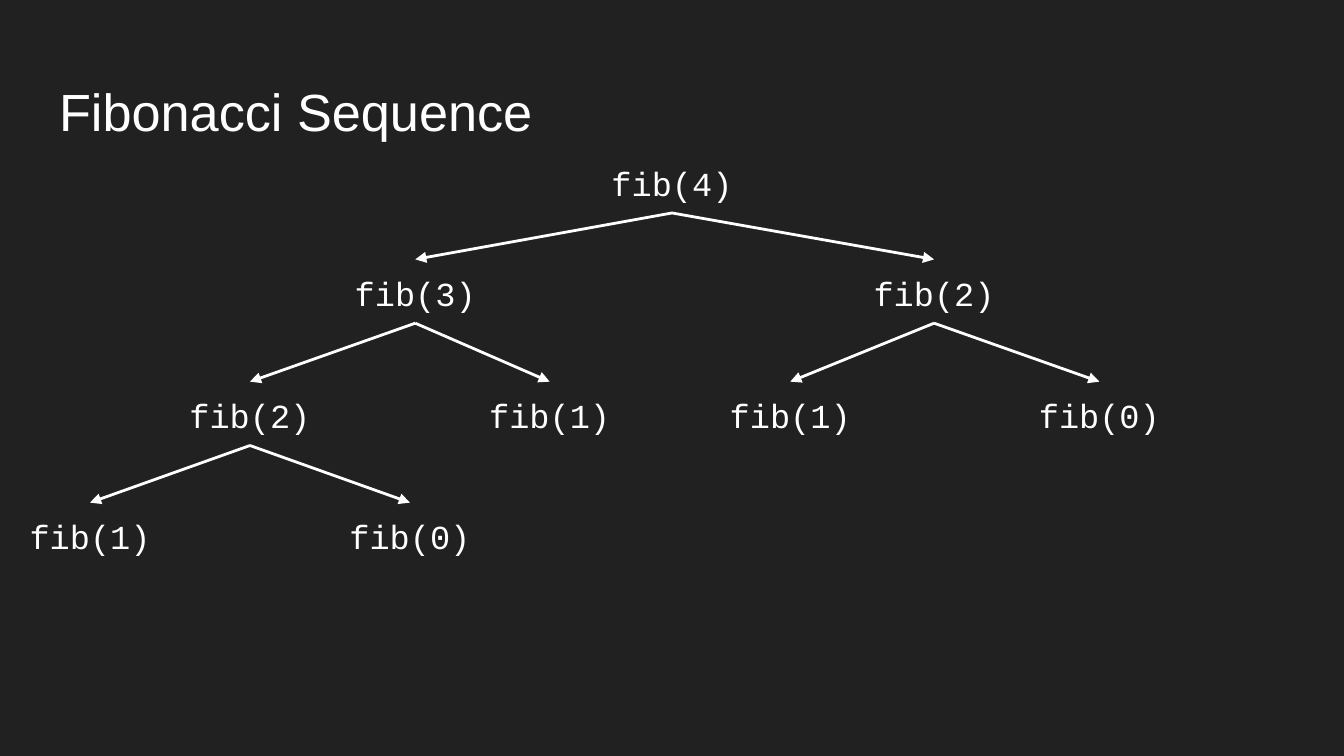
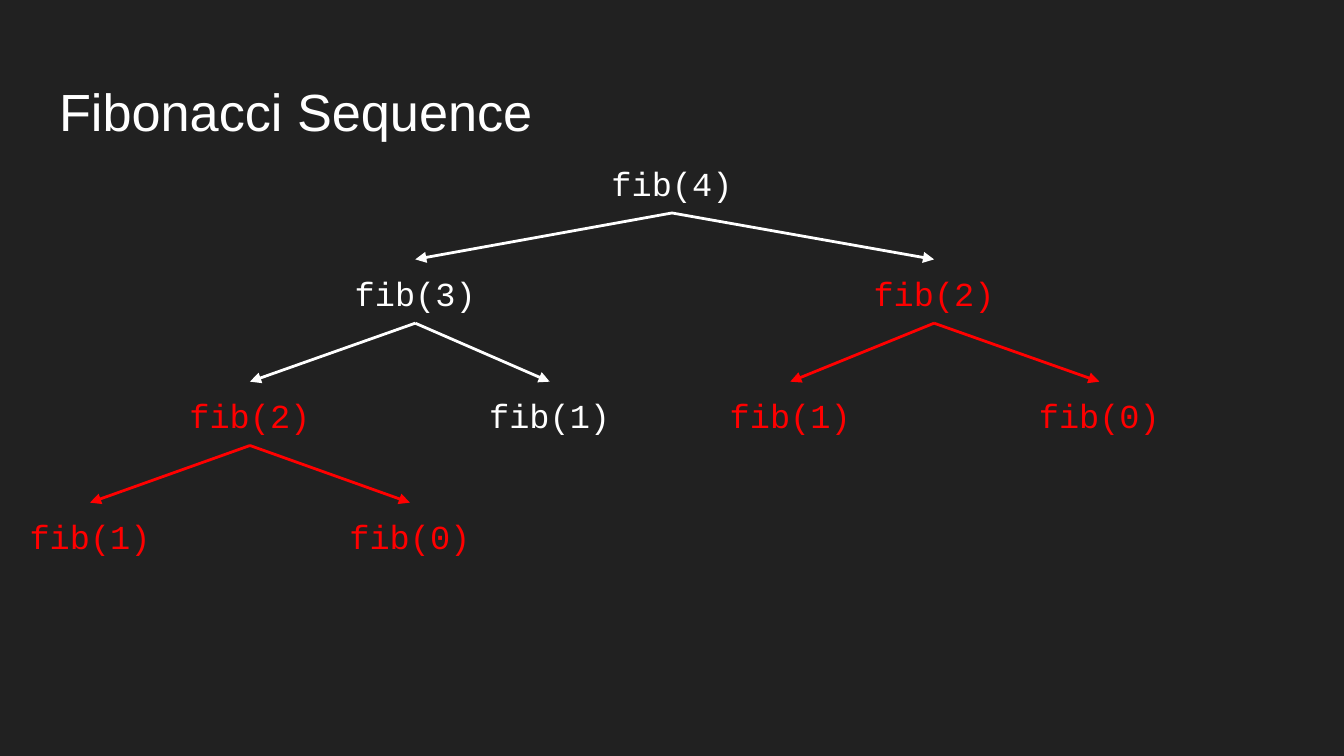
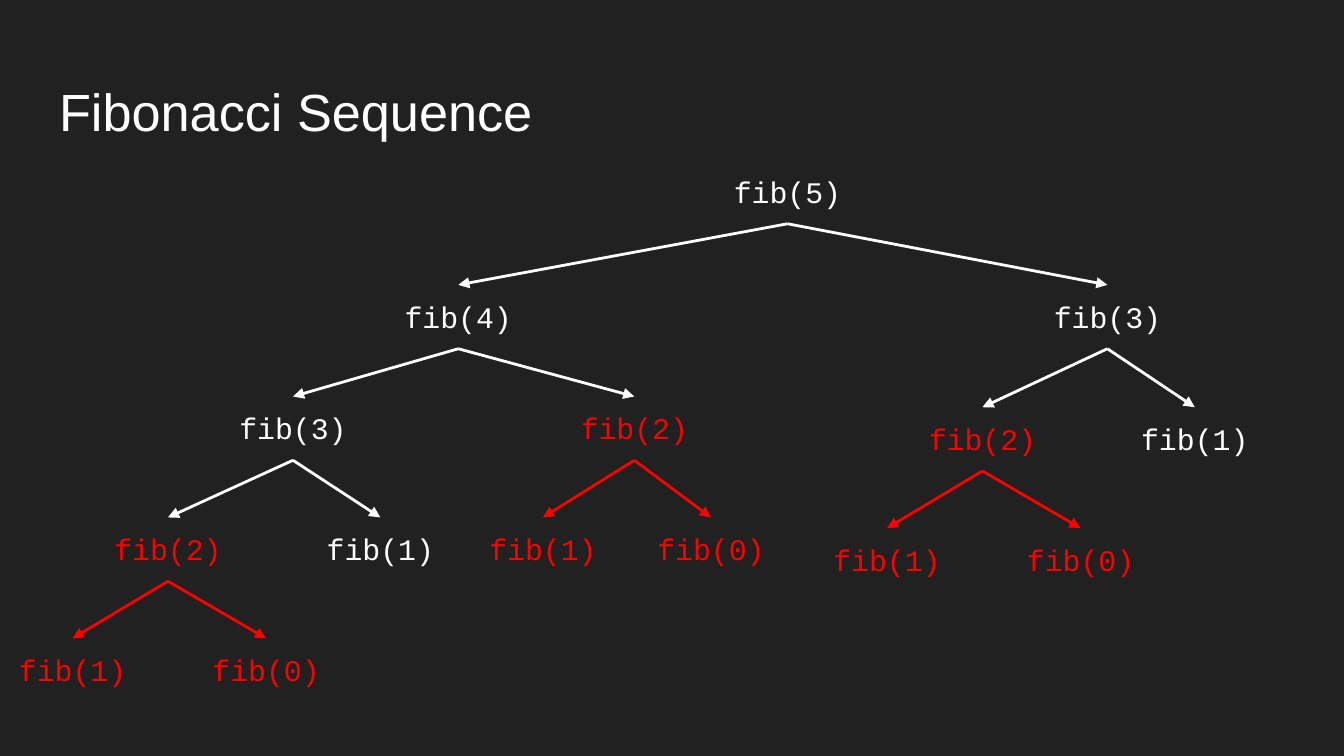
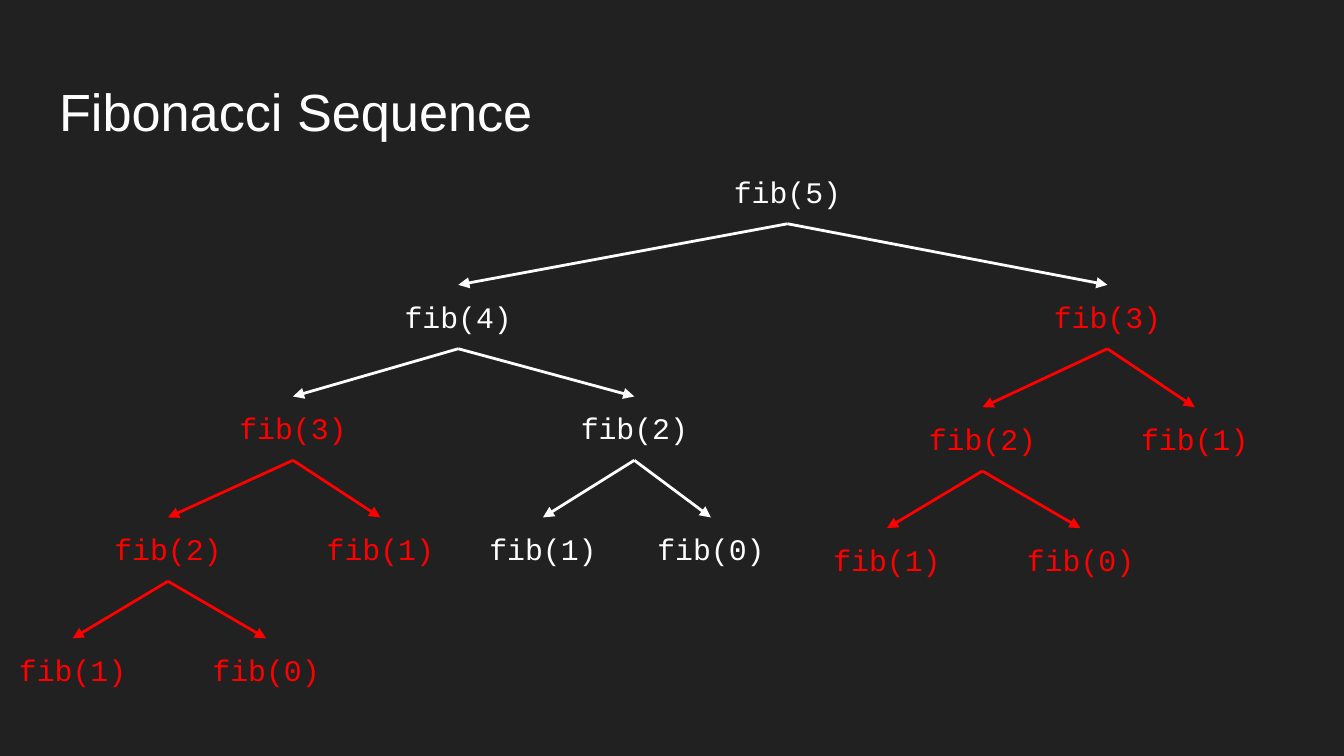
"""Build four slides of Fibonacci call trees with repeated calls in red."""
from pptx import Presentation
from pptx.dml.color import RGBColor
from pptx.enum.shapes import MSO_CONNECTOR as Kind
from pptx.enum.text import MSO_ANCHOR as Anchor, PP_ALIGN as Align
from pptx.oxml.ns import qn
from pptx.util import Inches, Pt
from lxml.etree import SubElement

DARK, WHITE, RED = "212121", "FFFFFF", "FF0000"
DROP = 0.475


def paint(part, tint):
    part.rgb = RGBColor.from_string(tint)


def write(box, words, face, size, tint, align):
    frame = box.text_frame
    frame.word_wrap = True
    frame.vertical_anchor = Anchor.TOP
    frame.margin_left = frame.margin_right = Inches(0.1)
    frame.margin_top = frame.margin_bottom = Inches(0.1)
    para = frame.paragraphs[0]
    para.alignment = align
    run = para.add_run()
    run.text = words
    run.font.name = face
    run.font.size = Pt(size)
    paint(run.font.color, tint)


# Each node: argument, centre, top, width, index of the caller
four = [
    (4, 5, 1.11, 1.23, None),
    (3, 3.09, 1.93, 1.23, 0),
    (2, 6.95, 1.93, 1.23, 0),
    (2, 1.86, 2.84, 1.23, 1),
    (1, 4.09, 2.84, 1.23, 1),
    (1, 5.88, 2.84, 1.23, 2),
    (0, 8.18, 2.84, 1.23, 2),
    (1, 0.67, 3.74, 1.23, 3),
    (0, 3.05, 3.74, 1.23, 3),
]
five = [
    (5, 5.86, 1.19, 1.2, None),
    (4, 3.41, 2.12, 1.2, 0),
    (3, 8.24, 2.12, 1.11, 0),
    (3, 2.18, 2.95, 1.11, 1),
    (2, 4.72, 2.95, 1.09, 1),
    (2, 7.31, 3.03, 1.11, 2),
    (1, 8.89, 3.03, 1.09, 2),
    (2, 1.25, 3.85, 1.11, 3),
    (1, 2.83, 3.85, 1.09, 3),
    (1, 4.04, 3.85, 1.09, 4),
    (0, 5.29, 3.85, 1.09, 4),
    (1, 6.6, 3.93, 1.2, 5),
    (0, 8.04, 3.93, 1.09, 5),
    (1, 0.54, 4.75, 1.2, 7),
    (0, 1.98, 4.75, 1.09, 7),
]

deck = Presentation()
deck.slide_width = Inches(10)
deck.slide_height = Inches(5.625)
back = deck.slide_master.background.fill
back.solid()
paint(back.fore_color, DARK)

for tree, size, hot in [(four, 18, None), (four, 18, 2), (five, 16, 2), (five, 16, 3)]:
    slide = deck.slides.add_slide(deck.slide_layouts[5])
    title = slide.shapes.title
    title.left, title.top = Inches(0.34), Inches(0.49)
    title.width, title.height = Inches(9.32), Inches(0.63)
    write(title, "Fibonacci Sequence", "Arial", 28, WHITE, Align.LEFT)

    tints = []
    for num, mid, top, wide, up in tree:
        warm = num == hot or (up is not None and tints[up] == RED)
        tints.append(RED if warm else WHITE)
        high = DROP if num > 1 else 0.74
        box = slide.shapes.add_textbox(
            Inches(mid - wide / 2), Inches(top), Inches(wide), Inches(high))
        write(box, f"fib({num})", "Courier New", size, tints[-1], Align.CENTER)

    for num, mid, top, wide, up in tree[1:]:
        start = tree[up]
        line = slide.shapes.add_connector(
            Kind.STRAIGHT, Inches(start[1]), Inches(start[2] + DROP),
            Inches(mid), Inches(top))
        line.line.width = Pt(1.5)
        line.line.fill.solid()
        paint(line.line.fill.fore_color, tints[up])
        SubElement(line.get_or_add_ln(), qn("a:tailEnd"), type="triangle")
        SubElement(line._element.spPr, qn("a:effectLst"))

deck.save("out.pptx")
